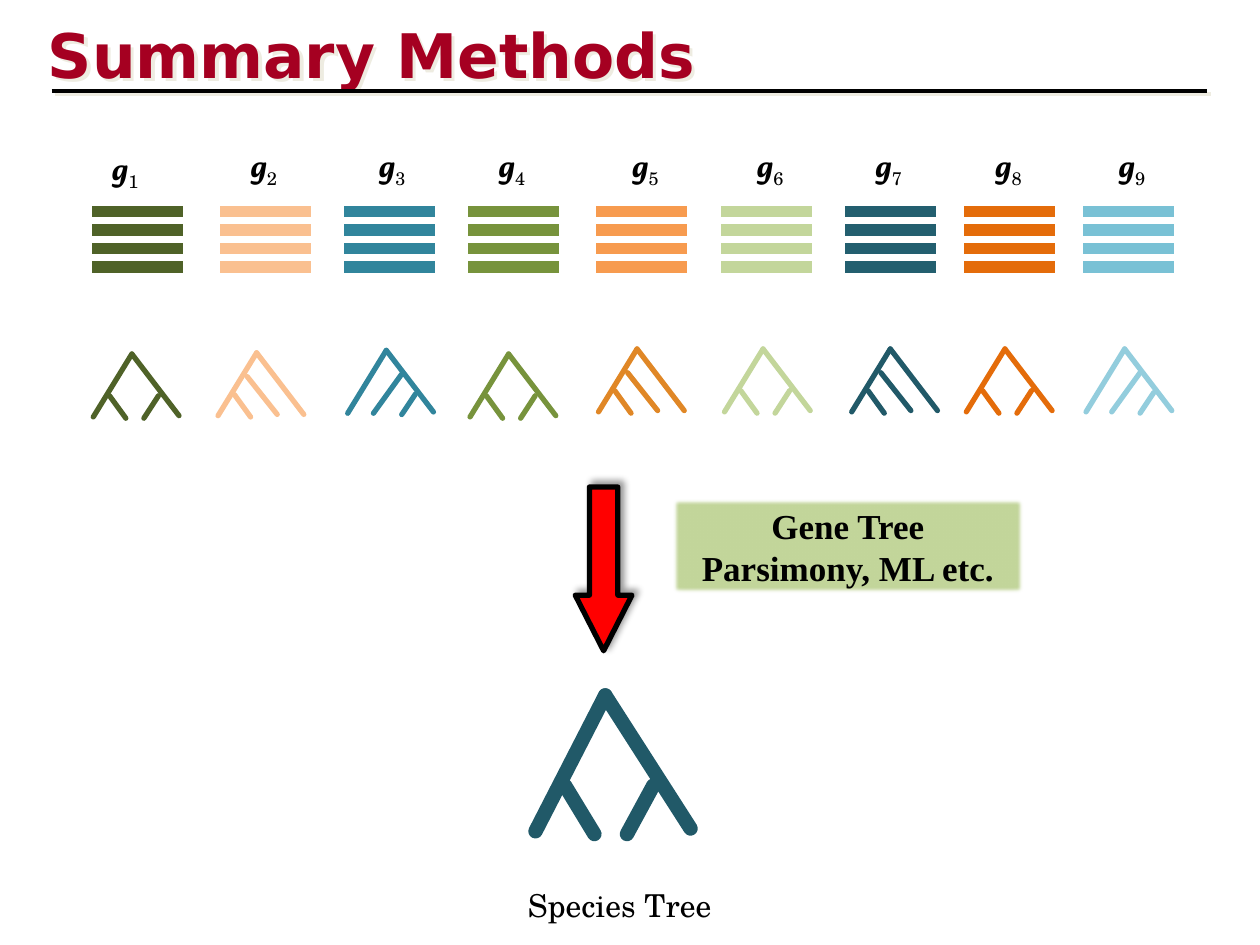
from lxml import etree
from pptx import Presentation
from pptx import util as u
from pptx.dml import color
from pptx.enum import shapes, text
from pptx.oxml import ns

Pt = u.Pt
COLORS = {
    "title": "A50021", "black": "000000", "white": "FFFFFF", "cream": "EEECE1",
    "red": "FF0000", "moss": "4F6228", "peach": "FAC090", "teal": "31859C",
    "green": "77933C", "orange": "F79B4F", "amber": "E08726", "lime": "C3D69B",
    "petrol": "235F6F", "deep": "215968", "rust": "E46C0A", "sky": "79C1D5",
    "pale": "93CDDD",
}
OUTER = [(0, .98, .45, 0), (.45, 0, 1, .96)]
LEFT_FORK = (.19, .65, .38, 1)
TREES = {
    "balanced": OUTER + [LEFT_FORK, (.76, .65, .59, 1)],
    "left": OUTER + [LEFT_FORK, (.34, .37, .69, .96)],
    "right": OUTER + [(.63, .37, .3, .98), (.79, .68, .63, 1)],
}
GENES = [
    (51.4, 56.9, 81.4, "moss", 53.3, 202.3, "moss", "balanced"),
    (124.6, 136.1, 79.9, "peach", 124.6, 201.6, "peach", "left"),
    (195.8, 209.5, 79.9, "teal", 198.7, 200.2, "teal", "right"),
    (266.4, 277.9, 79.9, "green", 268.6, 202.3, "green", "balanced"),
    (339.8, 354.2, 79.9, "orange", 342, 199.4, "amber", "left"),
    (411.1, 425.5, 79.9, "lime", 414, 199.4, "lime", "balanced"),
    (481.7, 493.2, 79.9, "petrol", 486.7, 199.4, "deep", "left"),
    (550.1, 561.6, 79.9, "rust", 552.2, 199.4, "rust", "balanced"),
    (617.8, 632.2, 79.9, "sky", 620.6, 199.4, "pale", "right"),
]


def rgb(name):
    return color.RGBColor.from_string(COLORS[name])


def set_all(obj, values):
    for name, value in values.items():
        setattr(obj, name, value)


def style_line(line, name, width):
    line.color.rgb = rgb(name)
    line.width = Pt(width)


def style_shape(sp, fill, line=None, width=0):
    sp.shadow.inherit = False
    sp.fill.solid()
    sp.fill.fore_color.rgb = rgb(fill)
    if line:
        style_line(sp.line, line, width)
    else:
        sp.line.fill.background()


def add_effect(sp, tag, **attrs):
    props = sp._element.spPr
    effects = props.find(ns.qn("a:effectLst"))
    if effects is None:
        effects = etree.SubElement(props, ns.qn("a:effectLst"))
    return etree.SubElement(effects, ns.qn(tag), attrs)


def add_shadow(sp, name, alpha, blur, dist, angle):
    shadow = add_effect(sp, "a:outerShdw", blurRad=str(Pt(blur)), dist=str(Pt(dist)),
                        dir=str(angle * 60000), algn="ctr", rotWithShape="0")
    clr = etree.SubElement(shadow, ns.qn("a:srgbClr"), val=COLORS[name])
    etree.SubElement(clr, ns.qn("a:alpha"), val=str(alpha * 1000))


def add_line(parent, x1, y1, x2, y2, name, width):
    c = parent.add_connector(shapes.MSO_CONNECTOR.STRAIGHT, Pt(x1), Pt(y1), Pt(x2), Pt(y2))
    style_line(c.line, name, width)
    etree.SubElement(c._element.spPr, ns.qn("a:effectLst"))
    return c


def add_run(p, words, font, size, name="black", **values):
    r = p.add_run()
    r.text = words
    set_all(r.font, {"name": font, "size": Pt(size), **values})
    r.font.color.rgb = rgb(name)
    return r


def add_textbox(s, x, y, w, h):
    tf = s.shapes.add_textbox(Pt(x), Pt(y), Pt(w), Pt(h)).text_frame
    tf.word_wrap = True
    return tf.paragraphs[0]


def add_title(s, x, y, w, h):
    sp = s.shapes.title
    set_all(sp, {"left": Pt(x), "top": Pt(y), "width": Pt(w), "height": Pt(h)})
    set_all(sp.text_frame, {"word_wrap": True, "auto_size": text.MSO_AUTO_SIZE.NONE,
                            "vertical_anchor": text.MSO_ANCHOR.MIDDLE})
    p = sp.text_frame.paragraphs[0]
    p.alignment = text.PP_ALIGN.LEFT
    add_run(p, "Summary Methods", "DejaVu Sans", 35.1, "title", bold=True)
    rule = add_line(s.shapes, x + 9.3, y + 45.3, x + 669.6, y + 45.3, "black", 2.25)
    for item in (sp, rule):
        add_shadow(item, "cream", 100, 0, 2.8, 45)


def add_label(s, x, y, number):
    p = add_textbox(s, x, y, 36, 28.8)
    add_run(p, "g", "Vollkorn", 18, bold=True, italic=True)
    r = add_run(p, str(number), "TeX Gyre Schola", 18)
    r._r.get_or_add_rPr().set("baseline", "-25000")


def add_alignment(s, x, y, w, h, name, rows=4):
    bar = 8.6
    step = (h - bar) / (rows - 1)
    group = s.shapes.add_group_shape()
    for row in range(rows):
        sp = group.shapes.add_shape(shapes.MSO_SHAPE.RECTANGLE, Pt(x), Pt(y + row * step),
                                    Pt(w), Pt(bar))
        style_shape(sp, name, "white", 2)


def add_tree(s, x, y, w, h, kind, name, width):
    group = s.shapes.add_group_shape()
    for x1, y1, x2, y2 in TREES[kind]:
        c = add_line(group.shapes, x + x1 * w, y + y1 * h, x + x2 * w, y + y2 * h, name, width)
        c.line._get_or_add_ln().set("cap", "rnd")


def add_genes(s):
    for number, gene in enumerate(GENES, 1):
        bar_x, label_x, label_y, bar_color, tree_x, tree_y, tree_color, kind = gene
        add_alignment(s, bar_x, 116.7, 54, 40.2, bar_color)
        add_label(s, label_x, label_y, number)
        add_tree(s, tree_x, tree_y, 49, 36.7, kind, tree_color, 3)


def add_arrow(s, x, y, w, h):
    sp = s.shapes.add_shape(shapes.MSO_SHAPE.RIGHT_ARROW, Pt(x + (w - h) / 2),
                            Pt(y + (h - w) / 2), Pt(h), Pt(w))
    sp.rotation = 90
    sp.adjustments[0], sp.adjustments[1] = .5, .98
    style_shape(sp, "red", "black", 3)
    add_shadow(sp, "black", 40, 4, 3, 315)


def add_method(s, x, y, w, h):
    sp = s.shapes.add_shape(shapes.MSO_SHAPE.RECTANGLE, Pt(x), Pt(y), Pt(w), Pt(h))
    style_shape(sp, "lime")
    add_effect(sp, "a:softEdge", rad=str(Pt(2.5)))
    sp.text_frame.word_wrap = True
    p = sp.text_frame.paragraphs[0]
    p.alignment = text.PP_ALIGN.CENTER
    add_run(p, "Gene Tree Parsimony, ML etc.", "Times New Roman", 20, bold=True)


def add_species(s, x, y, w, h):
    add_tree(s, x + 11.5, y, 88.6, 79.2, "balanced", "deep", 8.25)
    p = add_textbox(s, x, y + h - 28.8, w, 28.8)
    add_run(p, "Species Tree", "TeX Gyre Schola", 18)


def main():
    prs = Presentation()
    set_all(prs, {"slide_width": Pt(720), "slide_height": Pt(540)})
    s = prs.slides.add_slide(prs.slide_layouts[5])
    add_title(s, 20.2, 6.5, 649.4, 48.2)
    add_genes(s)
    add_arrow(s, 328.7, 278.3, 32.4, 93.6)
    add_method(s, 383.76, 284.4, 201.6, 55.4)
    add_species(s, 294.5, 397.4, 144.7, 134)
    prs.save("out.pptx")


if __name__ == "__main__":
    main()
